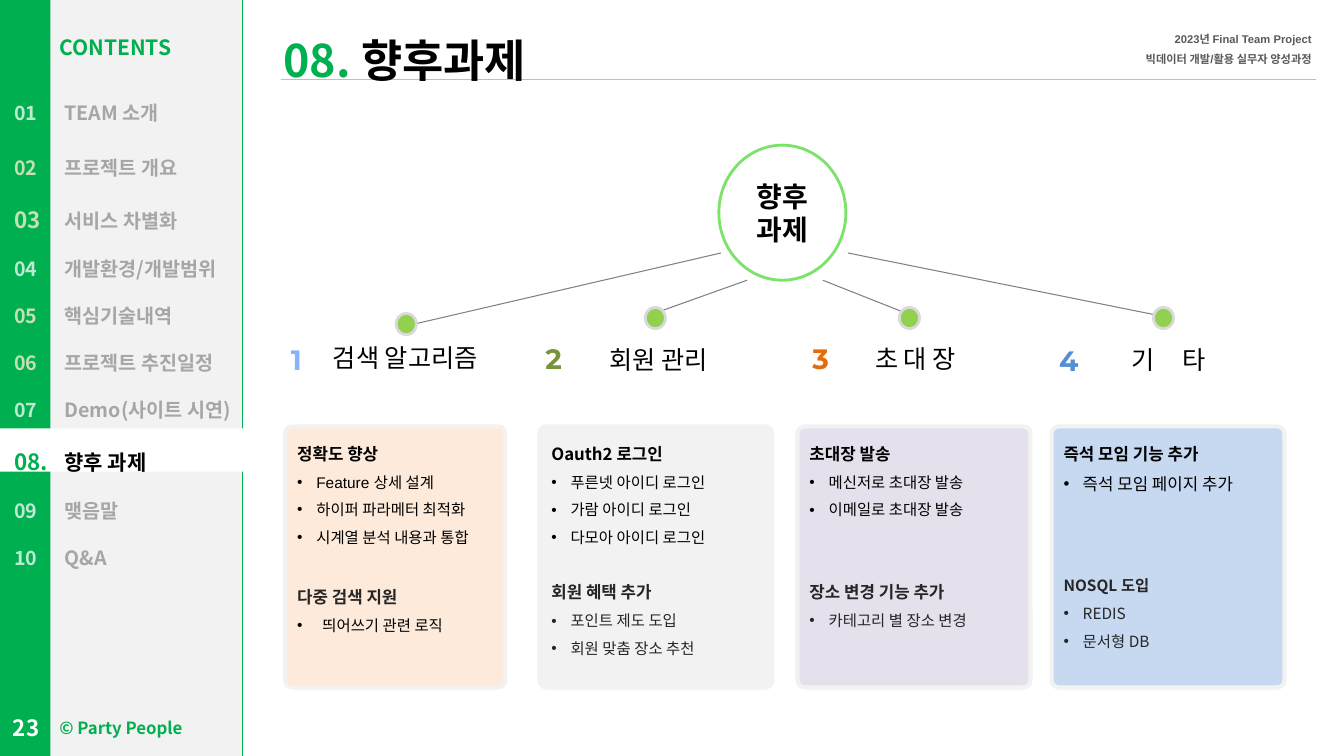
from lxml.etree import SubElement
from pptx import Presentation
from pptx.dml.color import RGBColor
from pptx.enum.shapes import MSO_CONNECTOR, MSO_SHAPE as Preset
from pptx.enum.text import MSO_ANCHOR as Anchor, MSO_AUTO_SIZE as Fit, PP_ALIGN as Align
from pptx.oxml.ns import qn
from pptx.util import Inches, Pt

KR, SC, ARIAL, NUMERAL = "Noto Sans CJK KR", "Noto Sans CJK SC", "Arial", "Montserrat"
GREEN = RGBColor(0x00, 0xB0, 0x50)
LIME = RGBColor(0x92, 0xD0, 0x50)
RING = RGBColor(0x7B, 0xE2, 0x6A)
MINT = RGBColor(0xBD, 0xEB, 0xD2)
SAGE = RGBColor(0xC5, 0xE0, 0xB4)
WHITE = RGBColor(0xFF, 0xFF, 0xFF)
BLACK = RGBColor(0x00, 0x00, 0x00)
CHARCOAL = RGBColor(0x26, 0x26, 0x26)
SLATE = RGBColor(0x59, 0x59, 0x59)
GRAY = RGBColor(0x80, 0x80, 0x80)
MUTED = RGBColor(0xA6, 0xA6, 0xA6)
RULE = RGBColor(0xBF, 0xBF, 0xBF)
SILVER = RGBColor(0xD9, 0xD9, 0xD9)
PALE = RGBColor(0xF2, 0xF2, 0xF2)
PEACH = RGBColor(0xFD, 0xEA, 0xDA)
LILAC = RGBColor(0xE6, 0xE0, 0xEC)
SKY = RGBColor(0xC6, 0xD9, 0xF1)
OLIVE = RGBColor(0x77, 0x93, 0x3C)
ORANGE = RGBColor(0xE4, 0x6C, 0x0A)
BLUE = RGBColor(0x55, 0x8E, 0xD5)
GRADIENT = (0.1, RGBColor(0x87, 0xB2, 0xFF)), (0.9, RGBColor(0x3A, 0x5F, 0x8C))

MENU = [
    ("01", 14, MINT, 18, 0.41, "TEAM 소개", 14, MUTED),
    ("02", 14, SAGE, 16, 0.45, "프로젝트 개요", 14, MUTED),
    ("03", 16, SAGE, 14, 0.45, "서비스 차별화", 14, MUTED),
    ("04", 14, MINT, 14, 0.41, "개발환경/개발범위", 14, MUTED),
    ("05", 14, SAGE, 14, 0.41, "핵심기술내역", 14, MUTED),
    ("06", 14, SAGE, 14, 0.41, "프로젝트 추진일정", 14, MUTED),
    ("07", 14, MINT, 14, 0.36, "Demo(사이트 시연)", 14, MUTED),
    ("08.", 16, GREEN, 14, 0.42, "향후 과제", 15, BLACK),
    ("09", 14, MINT, 14, 0.41, "맺음말", 14, MUTED),
    ("10", 14, MINT, 14, 0.36, "Q&A", 14, MUTED),
]
TOPICS = [
    ("1", GRADIENT, (2.72, 3.35), "검색 알고리즘", (2.76, 3.32)),
    ("2", OLIVE, (5.27, 3.34), "회원 관리", (5.27, 3.34)),
    ("3", ORANGE, (7.92, 3.34), "초 대 장", (7.82, 3.33)),
    ("4", BLUE, (10.38, 3.36), "기 타", (10.33, 3.34)),
]
BRANCHES = [
    ((3.93, 3.11), (4.13, 3.21), (7.15, 2.51)),
    ((6.4, 3.05), (6.57, 3.08), (7.41, 2.78)),
    ((8.92, 3.05), (9.12, 3.16), (8.16, 2.78)),
    ((11.44, 3.05), (11.64, 3.16), (8.41, 2.51)),
]
CARDS = [
    (2.83, 2.18, PEACH, [
        (("정확도 향상", 12, BLACK, ARIAL), 0, 11, BLACK, ARIAL, 0.19,
         ["Feature 상세 설계", "하이퍼 파라메터 최적화", "시계열 분석 내용과 통합"]),
        (("다중 검색 지원", 12, CHARCOAL, ARIAL), 21.6, 11, BLACK, ARIAL, 0.25,
         ["띄어쓰기 관련 로직"])]),
    (5.35, 2.31, PALE, [
        (("Oauth2 로그인", 12, BLACK, KR), 0, 11, BLACK, ARIAL, 0.19,
         ["푸른넷 아이디 로그인", "가람 아이디 로그인", "다모아 아이디 로그인"]),
        (("회원 혜택 추가", 12, CHARCOAL, KR), 18, 11, CHARCOAL, KR, 0.19,
         ["포인트 제도 도입", "회원 맞춤 장소 추천"])]),
    (7.91, 2.31, LILAC, [
        (("초대장 발송", 12, BLACK, SC), 0, 11, BLACK, KR, 0.19,
         ["메신저로 초대장 발송", "이메일로 초대장 발송"]),
        (("장소 변경 기능 추가", 12, CHARCOAL, ARIAL), 37.8, 11, CHARCOAL, KR, 0.19,
         ["카테고리 별 장소 변경"])]),
    (10.43, 2.31, SKY, [
        (("즉석 모임 기능 추가", 12, BLACK, ARIAL), 0, 12, BLACK, ARIAL, 0.19,
         ["즉석 모임 페이지 추가"]),
        (("NOSQL 도입", 11, CHARCOAL, KR), 52.2, 11, CHARCOAL, KR, 0.19,
         ["REDIS", "문서형 DB"])]),
]


class SlideBuilder:
    """Holds the slide and draws each kind of element in its style."""

    def __init__(self, slide):
        self.slide = slide
        self.shapes = slide.shapes

    def shape(self, preset, box, fill=None, line=None, width=0, anchor=Anchor.TOP):
        shape = self.shapes.add_shape(preset, *map(Inches, box))
        shape.shadow.inherit = False
        for target, color in ((shape.fill, fill), (shape.line.fill, line)):
            if color is None:
                target.background()
            else:
                target.solid()
                target.fore_color.rgb = color
        if line is not None:
            shape.line.width = Pt(width)
        shape.text_frame.vertical_anchor = anchor
        return shape

    def connector(self, start, end, color, width):
        line = self.shapes.add_connector(MSO_CONNECTOR.STRAIGHT, *map(Inches, start + end))
        line.line.color.rgb = color
        line.line.width = Pt(width)
        SubElement(line._element.spPr, qn("a:effectLst"))

    def text_box(self, box, wrap=True, anchor=Anchor.TOP):
        frame = self.shapes.add_textbox(*map(Inches, box)).text_frame
        frame.word_wrap = wrap
        frame.vertical_anchor = anchor
        return frame

    def placeholder(self, index, box, insets, anchor):
        shape = self.slide.placeholders[index]
        self.shapes._spTree.append(shape._element)
        shape.left, shape.top, shape.width, shape.height = map(Inches, box)
        frame = shape.text_frame
        frame.auto_size, frame.word_wrap, frame.vertical_anchor = Fit.NONE, True, anchor
        (frame.margin_left, frame.margin_top,
         frame.margin_right, frame.margin_bottom) = map(Inches, insets)
        return frame

    def paragraph(self, frame, spacing=1, align=Align.LEFT, indent=0, bullet=False,
                  tab=None, before=0):
        paragraph = frame.paragraphs[0]
        if paragraph.runs:
            paragraph = frame.add_paragraph()
        properties = paragraph._p.get_or_add_pPr()
        properties.set("marL", str(Inches(indent)))
        properties.set("indent", str(-Inches(indent)))
        if bullet:
            SubElement(properties, qn("a:buFont"), typeface=ARIAL)
            SubElement(properties, qn("a:buChar"), char="•")
        else:
            SubElement(properties, qn("a:buNone"))
        if tab:
            tabs = SubElement(properties, qn("a:tabLst"))
            SubElement(tabs, qn("a:tab"), pos=str(Inches(tab)), algn="l")
        paragraph.alignment = align
        paragraph.line_spacing = spacing
        paragraph.space_before = Pt(before)
        return paragraph

    def run(self, paragraph, text, size, color, font=KR, bold=True, tracking=0):
        run = paragraph.add_run()
        run.text = text
        run.font.size, run.font.bold, run.font.name = Pt(size), bold, font
        if color is GRADIENT:
            run.font.fill.gradient()
            run.font.fill.gradient_angle = 270
            for stop, (position, shade) in zip(run.font.fill.gradient_stops, color):
                stop.position, stop.color.rgb = position, shade
        else:
            run.font.color.rgb = color
        properties = run._r.get_or_add_rPr()
        SubElement(properties, qn("a:ea"), typeface=KR if font == ARIAL else font)
        if tracking:
            properties.set("spc", str(tracking * 100))

    def card(self, left, width, fill, sections):
        card = self.shape(Preset.ROUNDED_RECTANGLE, (left, 4.23, width, 2.59), fill, PALE, 3)
        card.adjustments[0] = 0.03
        frame = card.text_frame
        for heading, before, size, color, font, indent, items in sections:
            self.run(self.paragraph(frame, 1.5, indent=0.31, before=before), *heading)
            for item in items:
                paragraph = self.paragraph(frame, 1.5, indent=indent, bullet=True)
                self.run(paragraph, item, size, color, font, False)


def main():
    presentation = Presentation()
    presentation.slide_width, presentation.slide_height = Inches(13.33), Inches(7.5)
    builder = SlideBuilder(presentation.slides.add_slide(presentation.slide_layouts[1]))

    for box, fill in (((0, 0, 2.41, 7.5), GREEN), ((0.5, 0, 1.9, 7.5), PALE),
                      ((0, 4.25, 2.78, 0.43), WHITE)):
        builder.shape(Preset.RECTANGLE, box, fill)
    builder.connector((2.79, 0.79), (13.05, 0.79), RULE, 0.5)

    frame = builder.text_box((0.48, 7.07, 1.43, 0.3), wrap=False)
    builder.run(builder.paragraph(frame, align=Align.RIGHT), "© Party People", 12, GREEN)
    frame = builder.text_box((11.06, 0.2, 2.05, 0.48), wrap=False)
    for text in ("2023년 Final Team Project", "빅데이터 개발/활용 실무자 양성과정"):
        builder.run(builder.paragraph(frame, 1.5, Align.RIGHT), text, 8, SLATE, ARIAL)

    title = builder.placeholder(0, (2.61, 0.14, 10.6, 0.29), (0.2, 0.31, 0.16, 0.24),
                                Anchor.MIDDLE)
    paragraph = builder.paragraph(title, 2)
    builder.run(paragraph, "08. ", 32, GREEN)
    builder.run(paragraph, "향후과제", 32, BLACK)

    frame = builder.text_box((0.49, 0.17, 1.46, 0.48))
    builder.run(builder.paragraph(frame, 1.5), "CONTENTS", 15, GREEN)
    menu = builder.placeholder(1, (-0.06, 0.65, 2.55, 4.8), (0.2, 0, 0, 0), Anchor.TOP)
    for number, size, color, gap_size, tab, label, label_size, label_color in MENU:
        paragraph = builder.paragraph(menu, 2, tab=tab)
        builder.run(paragraph, number, size, color)
        builder.run(paragraph, "\t", gap_size, color)
        builder.run(paragraph, label, label_size, label_color)
    frame = builder.text_box((0.03, 7.02, 0.54, 0.4), anchor=Anchor.MIDDLE)
    builder.run(builder.paragraph(frame), "23", 16, WHITE)

    for number, color, corner, label, label_corner in TOPICS:
        frame = builder.shape(Preset.ROUNDED_RECTANGLE, label_corner + (2.52, 0.51)).text_frame
        paragraph = builder.paragraph(frame, align=Align.CENTER)
        if number == "4":
            for text, tracking in zip(label, (0, 16, 0)):
                builder.run(paragraph, text, 18, BLACK, SC, False, tracking)
        else:
            builder.run(paragraph, label, 18, BLACK, SC, False)
        frame = builder.text_box(corner + (0.44, 0.5))
        builder.run(builder.paragraph(frame, align=Align.CENTER), number, 20, color, NUMERAL)
    for card in CARDS:
        builder.card(*card)

    hub = builder.shape(Preset.OVAL, (7.13, 1.44, 1.26, 1.34), None, RING, 2, Anchor.MIDDLE)
    for text in ("향후", "과제"):
        paragraph = builder.paragraph(hub.text_frame, align=Align.CENTER)
        builder.run(paragraph, text, 20, BLACK, SC)
    for corner, start, end in BRANCHES:
        builder.connector(start, end, GRAY, 0.75)
        builder.shape(Preset.FLOWCHART_CONNECTOR, corner + (0.2, 0.21), LIME, SILVER, 2)

    presentation.save("out.pptx")


if __name__ == "__main__":
    main()
